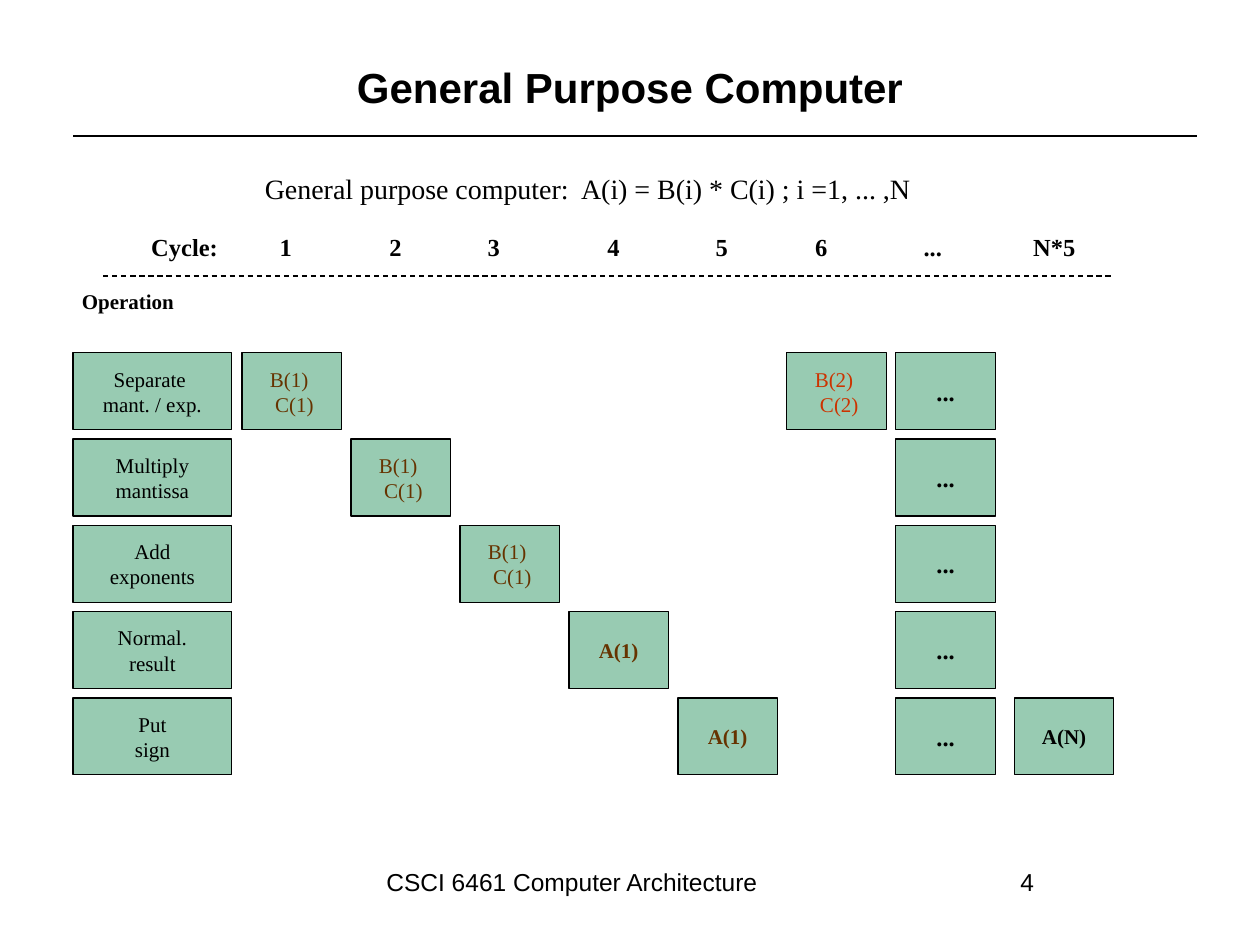
from lxml import etree
from pptx import Presentation
from pptx import util as u
from pptx.dml.color import RGBColor
from pptx.enum import dml, shapes, text
from pptx.oxml import ns

BLACK = RGBColor(0x00, 0x00, 0x00)
GREEN = RGBColor(0x33, 0x99, 0x66)
BROWN = RGBColor(0x66, 0x33, 0x00)
RED = RGBColor(0xCC, 0x33, 0x00)
SANS = "Arial"
SERIF = "Times New Roman"
LEFT = text.PP_ALIGN.LEFT
CENTER = text.PP_ALIGN.CENTER
TOP = text.MSO_ANCHOR.TOP
MIDDLE = text.MSO_ANCHOR.MIDDLE
WIDE_INSETS = (0.1, 0.05)
TIGHT_INSETS = (0.07, 0.03)

STAGE_LEFT, STAGE_WIDTH = 0.58, 1.26
CYCLE_LEFT, CYCLE_STEP, CELL_WIDTH = 1.92, 0.865, 0.79
LAST_LEFT = 8.05
ROW_TOP, ROW_STEP, ROW_HEIGHT = 2.8, 0.685, 0.61

STAGES = [
    ["Separate ", "mant. / exp."],
    ["Multiply", "mantissa"],
    ["Add", "exponents"],
    ["Normal.", "result"],
    ["Put", "sign"],
]
FIRST_OPERANDS = ["B(1) ", " C(1)"]
SECOND_OPERANDS = ["B(2) ", " C(2)"]
FIRST_PASS = [FIRST_OPERANDS] * 3 + [["A(1)"]] * 2
HEADINGS = [
    ("Cycle:", 1.13, 0.9),
    ("1", 2.15, 0.32),
    ("2", 3.02, 0.32),
    ("3", 3.8, 0.32),
    ("4", 4.75, 0.32),
    ("5", 5.61, 0.32),
    ("6", 6.4, 0.32),
    ("...", 7.26, 0.39),
    ("N*5", 8.13, 0.64),
]


def write_lines(shape, lines, size, font=SERIF, color=BLACK, bold=False,
                align=LEFT, anchor=TOP, insets=TIGHT_INSETS):
    frame = shape.text_frame
    frame.word_wrap = True
    frame.vertical_anchor = anchor
    frame.margin_left = frame.margin_right = u.Inches(insets[0])
    frame.margin_top = frame.margin_bottom = u.Inches(insets[1])
    for index, line in enumerate(lines):
        para = frame.add_paragraph() if index else frame.paragraphs[0]
        para.alignment = align
        span = para.add_run()
        span.text = line
        span.font.name = font
        span.font.size = u.Pt(size)
        span.font.bold = bold
        span.font.color.rgb = color


def add_label(page, line, left, top, width, height, size, **style):
    box = page.shapes.add_textbox(
        u.Inches(left), u.Inches(top), u.Inches(width), u.Inches(height))
    write_lines(box, [line], size, **style)


def add_cell(page, lines, left, row, width=CELL_WIDTH, size=12, **style):
    cell = page.shapes.add_shape(
        shapes.MSO_SHAPE.RECTANGLE, u.Inches(left),
        u.Inches(ROW_TOP + row * ROW_STEP), u.Inches(width), u.Inches(ROW_HEIGHT))
    cell.shadow.inherit = False
    cell.fill.solid()
    cell.fill.fore_color.rgb = GREEN
    tint = cell.fill._xPr.find(".//" + ns.qn("a:srgbClr"))
    etree.SubElement(tint, ns.qn("a:alpha"), val="50000")
    cell.line.color.rgb = BLACK
    cell.line.width = u.Pt(0.75)
    write_lines(cell, lines, size, align=CENTER, anchor=MIDDLE, **style)


def add_rule(page, left, right, top, dashed=False):
    rule = page.shapes.add_connector(
        shapes.MSO_CONNECTOR.STRAIGHT,
        u.Inches(left), u.Inches(top), u.Inches(right), u.Inches(top))
    rule.line.color.rgb = BLACK
    rule.line.width = u.Pt(0.75)
    if dashed:
        rule.line.dash_style = dml.MSO_LINE.DASH
    etree.SubElement(rule._element.spPr, ns.qn("a:effectLst"))


def cycle_left(cycle):
    return CYCLE_LEFT + (cycle - 1) * CYCLE_STEP


def add_pipeline(page):
    for row, (stage, work) in enumerate(zip(STAGES, FIRST_PASS)):
        add_cell(page, stage, STAGE_LEFT, row, STAGE_WIDTH)
        add_cell(page, work, cycle_left(row + 1), row,
                 color=BROWN, bold=len(work) == 1)
        add_cell(page, ["..."], cycle_left(7), row, size=14, bold=True)
    add_cell(page, SECOND_OPERANDS, cycle_left(6), 0, color=RED)
    add_cell(page, ["A(N)"], LAST_LEFT, len(STAGES) - 1, bold=True)


def main():
    deck = Presentation()
    deck.slide_width = u.Inches(10)
    deck.slide_height = u.Inches(7.5)
    page = deck.slides.add_slide(deck.slide_layouts[6])

    add_rule(page, 0.58, 9.5, 1.08)
    add_label(page, "CSCI 6461 Computer Architecture", 2.5, 6.83, 4.08, 0.52, 14,
              font=SANS, align=CENTER, insets=WIDE_INSETS)
    add_label(page, "4", 8, 6.83, 0.75, 0.52, 14, font=SANS, insets=WIDE_INSETS)
    add_label(page, "General Purpose Computer", 0.5, 0.3, 9, 0.78, 24, font=SANS,
              bold=True, align=CENTER, anchor=MIDDLE, insets=WIDE_INSETS)

    for heading, left, width in HEADINGS:
        add_label(page, heading, left, 1.81, width, 0.43, 14, bold=True)
    add_pipeline(page)
    add_label(page, "Operation", STAGE_LEFT, 2.26, STAGE_WIDTH, 0.4, 12, bold=True)
    add_rule(page, 0.82, 8.83, 2.19, dashed=True)
    add_label(page, "General purpose computer:  A(i) = B(i) * C(i) ; i =1, ... ,N",
              0.66, 1.33, 8.01, 0.55, 16, align=CENTER)

    deck.save("out.pptx")


if __name__ == "__main__":
    main()
